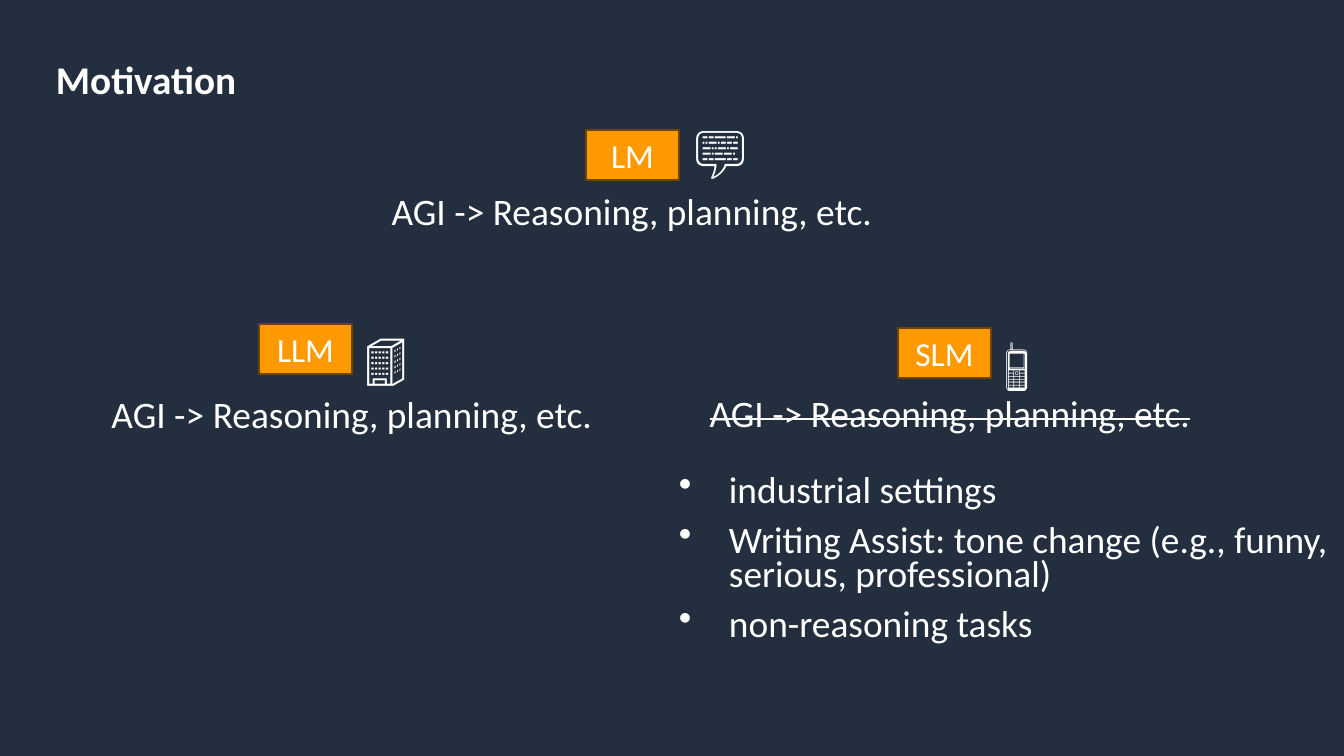
"""Build the Motivation slide comparing LM, LLM and SLM goals."""
from dataclasses import dataclass
from typing import Optional

from lxml.etree import SubElement
from pptx import Presentation
from pptx.dml.color import RGBColor
from pptx.enum.shapes import MSO_SHAPE as Preset
from pptx.enum.text import MSO_ANCHOR as Anchor, MSO_AUTO_SIZE as AutoSize, PP_ALIGN as Align
from pptx.oxml.ns import qn
from pptx.util import Emu, Pt

EMU_PER_PX = 914400 / 134.4
CLAIM = "AGI -> Reasoning, planning, etc."


@dataclass(frozen=True)
class Theme:
    background: RGBColor = RGBColor.from_string("232F3E")
    text: RGBColor = RGBColor.from_string("FFFFFF")
    chip: RGBColor = RGBColor.from_string("FF9900")
    chip_border: RGBColor = RGBColor.from_string("704300")
    font: str = "Calibri"
    title_size: int = 21
    body_size: int = 20
    chip_size: int = 18
    icon_size: int = 28
    title_leading: int = 23
    body_leading: int = 18
    space_before: int = 9


@dataclass(frozen=True)
class Box:
    left: int
    top: int
    width: int
    height: int


@dataclass(frozen=True)
class Model:
    name: str
    chip: Box
    icon: str
    icon_box: Box
    claim_box: Box
    struck: bool = False
    icon_wraps: bool = True


THEME = Theme()
MODELS = [
    Model("LM", Box(586, 130, 93, 50), "💬", Box(681, 112, 93, 77), Box(359, 199, 546, 40)),
    Model("LLM", Box(259, 324, 93, 50), "🏢", Box(352, 319, 79, 77), Box(35, 402, 634, 40),
          icon_wraps=False),
    Model("SLM", Box(898, 328, 93, 50), "📱", Box(991, 324, 106, 77), Box(671, 401, 558, 40),
          struck=True),
]
SLM_USES = [
    "industrial settings",
    "Writing Assist: tone change (e.g., funny, serious, professional)",
    "non-reasoning tasks",
]


def px(length: int) -> Emu:
    """Convert pixels to EMU."""
    return Emu(round(length * EMU_PER_PX))


def place(box: Box) -> tuple[Emu, Emu, Emu, Emu]:
    """Return the box as EMU lengths."""
    return px(box.left), px(box.top), px(box.width), px(box.height)


def style(paragraph, size: int, bold: bool = False) -> None:
    """Set the theme font on a paragraph."""
    font = paragraph.font
    font.name, font.size, font.bold = THEME.font, Pt(size), bold
    font.color.rgb = THEME.text


def add_bullet(paragraph, indent: int) -> None:
    """Give a paragraph a hanging bullet."""
    properties = paragraph._p.get_or_add_pPr()
    properties.set("marL", str(px(indent)))
    properties.set("indent", str(-px(indent)))
    SubElement(properties, qn("a:buChar")).set("char", "•")


def add_text(slide, box: Box, lines: list[str], size: int, leading: int,
             space_before: int = 0, align: Align = Align.LEFT, bold: bool = False,
             struck: bool = False, bullet_indent: Optional[int] = None) -> None:
    """Add a text box without insets, one paragraph per line."""
    frame = slide.shapes.add_textbox(*place(box)).text_frame
    frame.word_wrap = True
    frame.margin_left = frame.margin_top = frame.margin_right = frame.margin_bottom = 0
    frame.text = "\n".join(lines)
    for paragraph in frame.paragraphs:
        if bullet_indent is not None:
            add_bullet(paragraph, bullet_indent)
        paragraph.alignment = align
        paragraph.line_spacing = Pt(leading)
        paragraph.space_before = Pt(space_before)
        style(paragraph, size, bold)
        if struck:
            paragraph.runs[0]._r.get_or_add_rPr().set("strike", "sngStrike")


def add_chip(slide, box: Box, label: str) -> None:
    """Add an orange rectangle with a centred label."""
    shape = slide.shapes.add_shape(Preset.RECTANGLE, *place(box))
    shape.shadow.inherit = False
    shape.fill.solid()
    shape.fill.fore_color.rgb = THEME.chip
    shape.line.color.rgb = THEME.chip_border
    shape.line.width = Pt(1)
    frame = shape.text_frame
    frame.vertical_anchor = Anchor.MIDDLE
    frame.text = label
    paragraph = frame.paragraphs[0]
    paragraph.alignment = Align.CENTER
    style(paragraph, THEME.chip_size)


def add_icon(slide, box: Box, symbol: str, wraps: bool) -> None:
    """Add an emoji in a box that grows with its text."""
    frame = slide.shapes.add_textbox(*place(box)).text_frame
    frame.word_wrap = wraps
    frame.auto_size = AutoSize.SHAPE_TO_FIT_TEXT
    frame.text = symbol
    style(frame.paragraphs[0], THEME.icon_size)


def add_model(slide, model: Model) -> None:
    """Add a model's chip, icon and claim."""
    add_text(slide, model.claim_box, [CLAIM], THEME.body_size, THEME.body_leading,
             THEME.space_before, Align.CENTER, struck=model.struck)
    add_chip(slide, model.chip, model.name)
    add_icon(slide, model.icon_box, model.icon, model.icon_wraps)


def main() -> None:
    """Build and save the presentation."""
    presentation = Presentation()
    presentation.slide_width, presentation.slide_height = px(1344), px(756)
    slide = presentation.slides.add_slide(presentation.slide_layouts[6])
    slide.background.fill.solid()
    slide.background.fill.fore_color.rgb = THEME.background
    add_text(slide, Box(56, 59, 1232, 89), ["Motivation"], THEME.title_size,
             THEME.title_leading, bold=True)
    for model in MODELS:
        add_model(slide, model)
    add_text(slide, Box(679, 477, 672, 243), SLM_USES, THEME.body_size, THEME.body_leading,
             THEME.space_before, bullet_indent=50)
    presentation.save("out.pptx")


if __name__ == "__main__":
    main()
